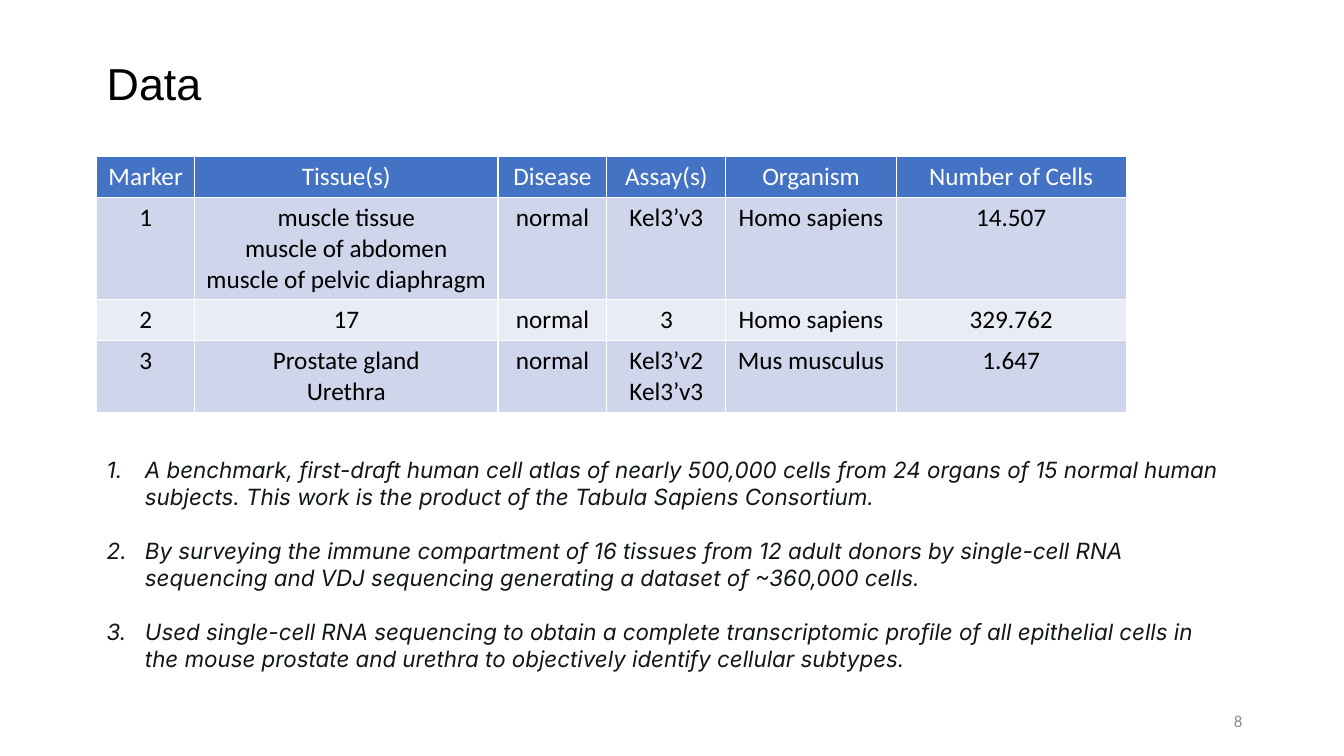
from pptx import Presentation
from pptx.dml.color import RGBColor
from pptx.enum.text import MSO_ANCHOR as Anchor, PP_ALIGN as Align
from pptx.util import Inches, Pt
from lxml.etree import SubElement
from pptx.oxml.ns import qn

# Content
TITLE = "Data"
PAGE_NUMBER = "8"
DATASETS = [
    ("Marker", "Tissue(s)", "Disease", "Assay(s)", "Organism", "Number of Cells"),
    ("1", "muscle tissue\nmuscle of abdomen\nmuscle of pelvic diaphragm",
     "normal", "Kel3’v3", "Homo sapiens", "14.507"),
    ("2", "17", "normal", "3", "Homo sapiens", "329.762"),
    ("3", "Prostate gland\nUrethra", "normal", "Kel3’v2\nKel3’v3",
     "Mus musculus", "1.647"),
]
NOTES = [
    "A benchmark, first-draft human cell atlas of nearly 500,000 cells from 24 organs "
    "of 15 normal human subjects. This work is the product of the Tabula Sapiens Consortium.",
    "By surveying the immune compartment of 16 tissues from 12 adult donors by single-cell "
    "RNA sequencing and VDJ sequencing generating a dataset of ~360,000 cells.",
    "Used single-cell RNA sequencing to obtain a complete transcriptomic profile of all "
    "epithelial cells in the mouse prostate and urethra to objectively identify cellular subtypes.",
]

# Layout and colours
LEFT = 0.96
COLUMN_WIDTHS = [0.97, 3.01, 1.08, 1.18, 1.69, 2.28]
LINE_HEIGHT, CELL_PADDING = 0.3, 0.11
HEADER_FILL = "4472C4"
BAND_FILLS = ["E9EBF5", "CFD5EA"]


def color(value):
    return RGBColor.from_string(value)


def style(para, font, size, hue, align=Align.LEFT, italic=False):
    para.alignment = align
    for span in para.runs:
        span.font.name = font
        span.font.size = Pt(size)
        span.font.color.rgb = color(hue)
        span.font.bold = False
        span.font.italic = italic


def add_text(page, left, top, width, height, lines):
    box = page.shapes.add_textbox(*map(Inches, (left, top, width, height)))
    frame = box.text_frame
    frame.word_wrap = True
    frame.text = "\n".join(lines)
    return frame


def number(para, indent):
    properties = para._p.get_or_add_pPr()
    properties.set("marL", str(Inches(indent)))
    properties.set("indent", str(-Inches(indent)))
    SubElement(properties, qn("a:buFont"), typeface="+mj-lt")
    SubElement(properties, qn("a:buAutoNum"), type="arabicPeriod")


deck = Presentation()
deck.slide_width, deck.slide_height = Inches(13.33), Inches(7.5)
page = deck.slides.add_slide(deck.slide_layouts[6])

# Page number
frame = add_text(page, 9.42, 6.95, 3, 0.4, [PAGE_NUMBER])
frame.vertical_anchor = Anchor.MIDDLE
style(frame.paragraphs[0], "Calibri", 12, "8C8C8C", Align.RIGHT)

# Table: each row is as tall as its longest cell
row_heights = [CELL_PADDING + LINE_HEIGHT * max(text.count("\n") + 1 for text in row)
               for row in DATASETS]
table = page.shapes.add_table(
    len(DATASETS), len(COLUMN_WIDTHS), Inches(LEFT), Inches(1.55),
    Inches(sum(COLUMN_WIDTHS)), Inches(sum(row_heights))).table
for column, width in zip(table.columns, COLUMN_WIDTHS):
    column.width = Inches(width)
for r, texts in enumerate(DATASETS):
    table.rows[r].height = Inches(row_heights[r])
    for c, text in enumerate(texts):
        cell = table.cell(r, c)
        cell.fill.solid()
        cell.fill.fore_color.rgb = color(BAND_FILLS[r % 2] if r else HEADER_FILL)
        para = cell.text_frame.paragraphs[0]
        para.text = text
        style(para, "Calibri", 18, "000000" if r else "FFFFFF", Align.CENTER)

# Title
frame = add_text(page, LEFT, 0.5, 11.14, 0.64, [TITLE])
style(frame.paragraphs[0], "Arial", 32, "000000")

# Numbered notes, one line apart
frame = add_text(page, LEFT, 4.48, 11.24, 2.32, NOTES)
for para in frame.paragraphs:
    style(para, "Inter", 16, "10161A", italic=True)
    para.space_after = Pt(19.4)
    number(para, 0.38)

deck.save("out.pptx")
